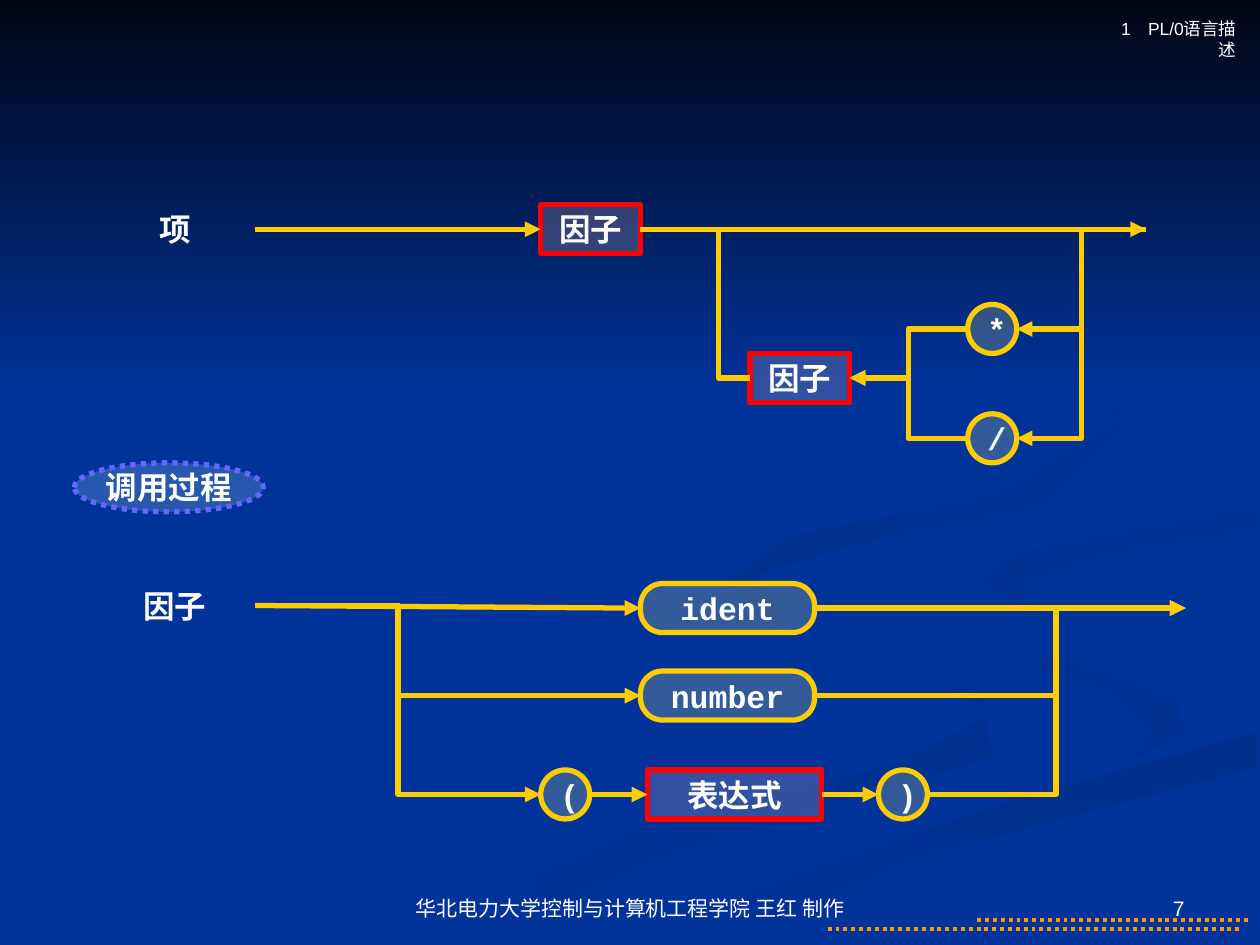
from lxml import etree
from pptx import Presentation
from pptx.dml.color import RGBColor
from pptx.enum import dml, shapes, text
from pptx.oxml.ns import qn
from pptx.util import Pt

BLUE = RGBColor(0x00, 0x33, 0x99)
NIGHT = RGBColor(0x00, 0x05, 0x14)
SHADE = RGBColor(0x00, 0x30, 0x91)
DEEP_SHADE = RGBColor(0x00, 0x2F, 0x8C)
WHITE = RGBColor(0xFF, 0xFF, 0xFF)
ORANGE = RGBColor(0xFF, 0x99, 0x00)
GOLD = RGBColor(0xFF, 0xCC, 0x00)
CREAM = RGBColor(0xFF, 0xFF, 0x99)
RED = RGBColor(0xFF, 0x00, 0x00)
PINK = RGBColor(0xFF, 0xCC, 0xCC)
VIOLET = RGBColor(0x66, 0x66, 0xFF)
ICE = RGBColor(0xCC, 0xEC, 0xFF)

NODE_HEIGHT = 28
NODE_WIDTH = 57
WIDE_NODE = 99.5
LABEL_HEIGHT = 31
ENTRY = 146
CIRCLE = shapes.MSO_SHAPE.FLOWCHART_CONNECTOR
RECTANGLE = shapes.MSO_SHAPE.RECTANGLE
ROUNDED = shapes.MSO_SHAPE.ROUNDED_RECTANGLE

SWIRLS = [
    (BLUE, SHADE, 0, [(451, 361), (541, 391), (566, 408), (515, 436), (359, 476),
                      (216, 539), (260, 539), (406, 479), (566, 433), (562, 398)]),
    (BLUE, SHADE, 45, [(551, 369), (634, 395), (661, 418), (644, 436),
                       (677, 418), (670, 398), (626, 382)]),
    (DEEP_SHADE, BLUE, 90, [(362, 539), (411, 539), (520, 491), (719, 438),
                            (719, 418), (574, 459), (454, 499)]),
    (SHADE, BLUE, 45, [(562, 331), (595, 357), (583, 334), (632, 316),
                       (719, 302), (719, 289), (583, 315)]),
    (DEEP_SHADE, BLUE, 45, [(492, 310), (594, 289), (643, 241), (615, 204), (640, 241),
                            (570, 282), (450, 307), (415, 333), (448, 360), (433, 328)]),
    (NIGHT, BLUE, 90, [(0, 0), (0, 222), (720, 222), (720, 0)]),
]


def add_swirl(slide, first, last, angle, points):
    builder = slide.shapes.build_freeform(*points[0], scale=Pt(1))
    builder.add_line_segments(points[1:], close=True)
    shape = builder.convert_to_shape()
    shape.shadow.inherit = False
    shape.line.fill.background()
    shape.fill.gradient()
    shape.fill.gradient_angle = -angle % 360
    for stop, color in zip(shape.fill.gradient_stops, (first, last)):
        stop.color.rgb = color


def write(shape, content, size, font, alignment, anchor, bold=False):
    frame = shape.text_frame
    frame.text = content
    frame.word_wrap = True
    frame.vertical_anchor = anchor
    paragraph = frame.paragraphs[0]
    paragraph.alignment = alignment
    run_font = paragraph.runs[0].font
    run_font.name, run_font.size, run_font.bold = font, Pt(size), bold
    run_font.color.rgb = WHITE


def write_symbol(shape, content):
    write(shape, content, 18, "Courier New", text.PP_ALIGN.CENTER, text.MSO_ANCHOR.MIDDLE, True)


def add_note(slide, content, box, size, alignment, anchor):
    shape = slide.shapes.add_textbox(*map(Pt, box))
    write(shape, content, size, "Arial", alignment, anchor)


def add_label(slide, content, middle):
    shape = slide.shapes.add_textbox(
        Pt(54), Pt(middle - LABEL_HEIGHT / 2), Pt(ENTRY - 54), Pt(LABEL_HEIGHT))
    write_symbol(shape, content)
    return shape


def add_node(slide, kind, content, left, middle, width, fill=CREAM, outline=GOLD):
    shape = slide.shapes.add_shape(
        kind, Pt(left), Pt(middle - NODE_HEIGHT / 2), Pt(width), Pt(NODE_HEIGHT))
    shape.shadow.inherit = False
    shape.fill.solid()
    shape.fill.fore_color.rgb = fill
    color = shape.fill._xPr.find(qn("a:solidFill"))[0]
    etree.SubElement(color, qn("a:alpha")).set("val", "20000")
    shape.line.color.rgb = outline
    shape.line.width = Pt(3)
    if kind == ROUNDED:
        shape.adjustments[0] = 0.45
    write_symbol(shape, content)
    return shape


def add_rule(slide, kind, start, end, color=GOLD, width=3, arrow=False):
    connector = slide.shapes.add_connector(kind, *map(Pt, start + end))
    connector.line.color.rgb = color
    connector.line.width = Pt(width)
    etree.SubElement(connector._element.spPr, qn("a:effectLst"))
    if arrow:
        etree.SubElement(connector.line._get_or_add_ln(), qn("a:tailEnd")).set("type", "triangle")
    return connector


def add_flow(slide, start, end, source=None, target=None):
    connector = add_rule(slide, shapes.MSO_CONNECTOR.STRAIGHT, start, end, arrow=True)
    if source is not None:
        connector.begin_connect(source, 3)
    if target is not None:
        connector.end_connect(target, 1)


def add_branch(slide, start, end, bend, arrow=True):
    connector = add_rule(slide, shapes.MSO_CONNECTOR.ELBOW, start, end, arrow=arrow)
    ratio = (bend - start[0]) / (end[0] - start[0])
    geometry = connector._element.spPr.find(qn("a:prstGeom"))
    guides = geometry.find(qn("a:avLst"))
    if guides is None:
        guides = etree.SubElement(geometry, qn("a:avLst"))
    guide = etree.SubElement(guides, qn("a:gd"))
    guide.set("name", "adj1")
    guide.set("fmla", f"val {round(ratio * 100000)}")


def add_term_diagram(slide):
    row, loop_row = 131, 216
    first, repeated, operators = 309, 428.5, 553
    exit_point = (655, row)
    label = add_label(slide, "项", row)
    factor = add_node(slide, RECTANGLE, "因子", first, row, NODE_WIDTH, PINK, RED)
    add_node(slide, RECTANGLE, "因子", repeated, loop_row, NODE_WIDTH, PINK, RED)
    add_flow(slide, (ENTRY, row), (first, row), label, factor)
    add_flow(slide, (first + NODE_WIDTH, row), exit_point, factor)
    add_branch(slide, exit_point, (repeated, loop_row), 410.5, arrow=False)
    for operator, middle in (("*", 188), ("/", 250.5)):
        add_node(slide, CIRCLE, operator, operators, middle, NODE_HEIGHT)
        add_branch(slide, exit_point, (operators + NODE_HEIGHT, middle), 618)
        add_branch(slide, (operators, middle), (repeated + NODE_WIDTH, loop_row), 519)


def add_factor_diagram(slide):
    entry_row, row, number_row, group_row = 346, 347.5, 397.5, 454
    names, opening, inner, closing = 366, 309, 370, 502
    entry, exit_point = (ENTRY, entry_row), (677.5, row)
    label = add_label(slide, "因子", entry_row)
    ident = add_node(slide, ROUNDED, "ident", names, row, WIDE_NODE)
    add_node(slide, ROUNDED, "number", names, number_row, WIDE_NODE)
    expression = add_node(slide, RECTANGLE, "表达式", inner, group_row, WIDE_NODE, PINK, RED)
    for bracket, left in (("(", opening), (")", closing)):
        add_node(slide, CIRCLE, bracket, left, group_row, NODE_HEIGHT)
    add_flow(slide, entry, (names, row), label, ident)
    add_flow(slide, (names + WIDE_NODE, row), exit_point, ident)
    add_flow(slide, (opening + NODE_HEIGHT, group_row), (inner, group_row), target=expression)
    add_flow(slide, (inner + WIDE_NODE, group_row), (closing, group_row), source=expression)
    for left, right, middle in ((names, names + WIDE_NODE, number_row),
                                (opening, closing + NODE_HEIGHT, group_row)):
        add_branch(slide, entry, (left, middle), 227.5)
        add_branch(slide, (right, middle), exit_point, 603.5)


def add_call_marker(slide):
    marker = add_node(slide, shapes.MSO_SHAPE.OVAL, "调用过程", 42.5, 278.5, 108, ICE, VIOLET)
    marker.line.dash_style = dml.MSO_LINE.ROUND_DOT
    frame = marker.text_frame
    frame.margin_left = frame.margin_right = frame.margin_top = frame.margin_bottom = 0
    frame.word_wrap = False


def add_footer(slide):
    for left, right, y in ((558.5, 714, 525.5), (473, 708.5, 531)):
        rule = add_rule(slide, shapes.MSO_CONNECTOR.STRAIGHT, (left, y), (right, y), ORANGE, 2.25)
        rule.line.dash_style = dml.MSO_LINE.ROUND_DOT
    align, bottom = text.PP_ALIGN, text.MSO_ANCHOR.BOTTOM
    add_note(slide, "7", (516, 492, 168, 37.5), 12, align.RIGHT, bottom)
    add_note(slide, "华北电力大学控制与计算机工程学院 王红 制作", (224, 492, 272, 37.5),
             12, align.CENTER, bottom)


def main():
    presentation = Presentation()
    presentation.slide_width, presentation.slide_height = Pt(720), Pt(540)
    slide = presentation.slides.add_slide(presentation.slide_layouts[6])
    slide.background.fill.solid()
    slide.background.fill.fore_color.rgb = BLUE
    for swirl in SWIRLS:
        add_swirl(slide, *swirl)
    add_footer(slide)
    add_term_diagram(slide)
    add_call_marker(slide)
    add_factor_diagram(slide)
    add_note(slide, "1　PL/0语言描述", (624, 7, 89.5, 19.5), 10,
             text.PP_ALIGN.RIGHT, text.MSO_ANCHOR.TOP)
    presentation.save("out.pptx")


if __name__ == "__main__":
    main()
